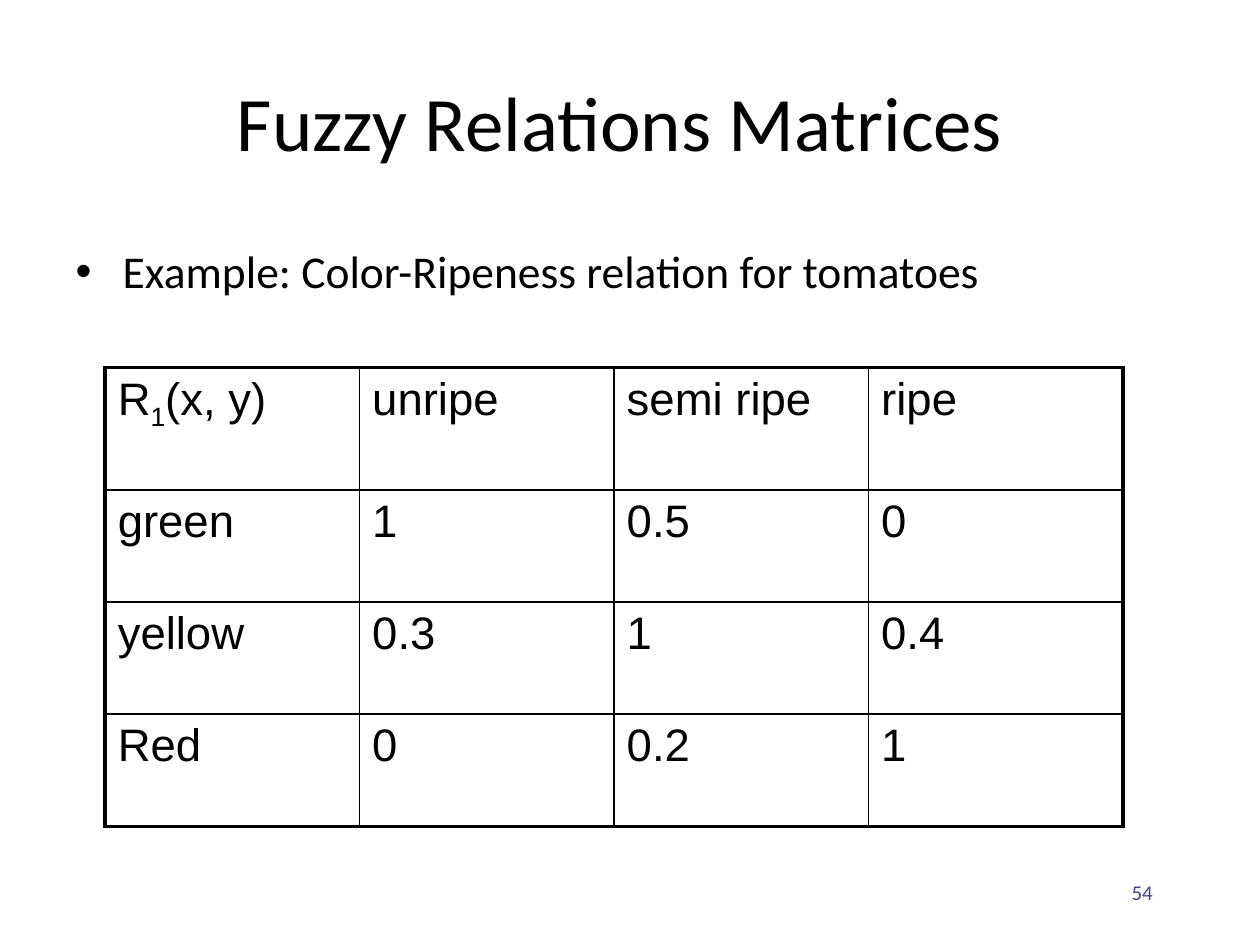
from lxml.etree import SubElement as Sub, Element
from pptx import Presentation
from pptx.dml.color import RGBColor
from pptx.enum.text import MSO_ANCHOR as Anchor, MSO_AUTO_SIZE as Auto, PP_ALIGN as Align
from pptx.oxml.ns import qn
from pptx.util import Cm, Pt

# Content
TITLE = "Fuzzy Relations Matrices"
POINT = "Example: Color-Ripeness relation for tomatoes"
HEAD = [("R", 0), ("1", -25), ("(x, y)", 0)]  # text, baseline shift in percent
GRID = [
    [HEAD, "unripe", "semi ripe", "ripe"],
    ["green", "1", "0.5", "0"],
    ["yellow", "0.3", "1", "0.4"],
    ["Red", "0", "0.2", "1"],
]
PAGE = "54"

# Style
BLACK = RGBColor(0, 0, 0)
BLUE = RGBColor(0x40, 0x45, 0x8C)
THIN, THICK = Pt(1), Pt(2.25)
COL = Cm(5.13)
ROWS = [Cm(2.47)] + [Cm(2.26)] * 3


def place(shape, left, top, width, height):
    shape.left, shape.top = Cm(left), Cm(top)
    shape.width, shape.height = Cm(width), Cm(height)


def write(para, text, size, face, color=BLACK, shift=0):
    run = para.add_run()
    run.text = text
    font = run.font
    font.size, font.name = Pt(size), face
    font.color.rgb = color
    if shift:
        font._element.set("baseline", str(shift * 1000))


def edge(cell, widths):
    """Draw left, right, top and bottom borders, in that order."""
    props = cell._tc.get_or_add_tcPr()
    for spot, (side, width) in enumerate(zip("LRTB", widths)):
        line = Element(qn("a:ln" + side), w=str(int(width)))
        fill = Sub(line, qn("a:solidFill"))
        Sub(fill, qn("a:srgbClr"), val=str(BLACK))
        props.insert(spot, line)


deck = Presentation()
deck.slide_width, deck.slide_height = Cm(25.4), Cm(19.05)
slide = deck.slides.add_slide(deck.slide_layouts[1])

# Title
title = slide.shapes.title
place(title, 1.7, 0.84, 21.59, 3.18)
frame = title.text_frame
frame.auto_size, frame.vertical_anchor = Auto.NONE, Anchor.MIDDLE
frame.paragraphs[0].alignment = Align.CENTER
write(frame.paragraphs[0], TITLE, 44, "Calibri")

# Bullet
body = slide.placeholders[1]
place(body, 1.27, 4.78, 22.23, 2.41)
body.text_frame.auto_size = Auto.NONE
para = body.text_frame.paragraphs[0]
para.space_before = Pt(0)
props = para._p.get_or_add_pPr()
props.set("marL", str(Cm(0.95)))
props.set("indent", str(-Cm(0.95)))
Sub(props, qn("a:buFont"), typeface="Arial")
Sub(props, qn("a:buChar"), char="•")
write(para, POINT, 26, "Calibri")

# Relation table
last = len(GRID) - 1
table = slide.shapes.add_table(
    len(GRID), len(GRID[0]), Cm(2.12), Cm(7.41), COL * len(GRID[0]), sum(ROWS)
).table
table.first_row = table.horz_banding = False
for col in table.columns:
    col.width = COL
for r, (row, high) in enumerate(zip(GRID, ROWS)):
    table.rows[r].height = high
    for c, item in enumerate(row):
        cell = table.cell(r, c)
        cell.fill.background()
        outer = (c == 0, c == len(row) - 1, r == 0, r == last)
        edge(cell, [THICK if out else THIN for out in outer])
        para = cell.text_frame.paragraphs[0]
        for text, shift in [(item, 0)] if isinstance(item, str) else item:
            write(para, text, 26, "Arial", shift=shift)

# Page number
box = slide.shapes.add_textbox(Cm(18.2), Cm(17.36), Cm(5.29), Cm(1.27))
frame = box.text_frame
frame.word_wrap, frame.vertical_anchor = True, Anchor.MIDDLE
frame.paragraphs[0].alignment = Align.RIGHT
write(frame.paragraphs[0], PAGE, 12, "Calibri", BLUE)

deck.save("out.pptx")
